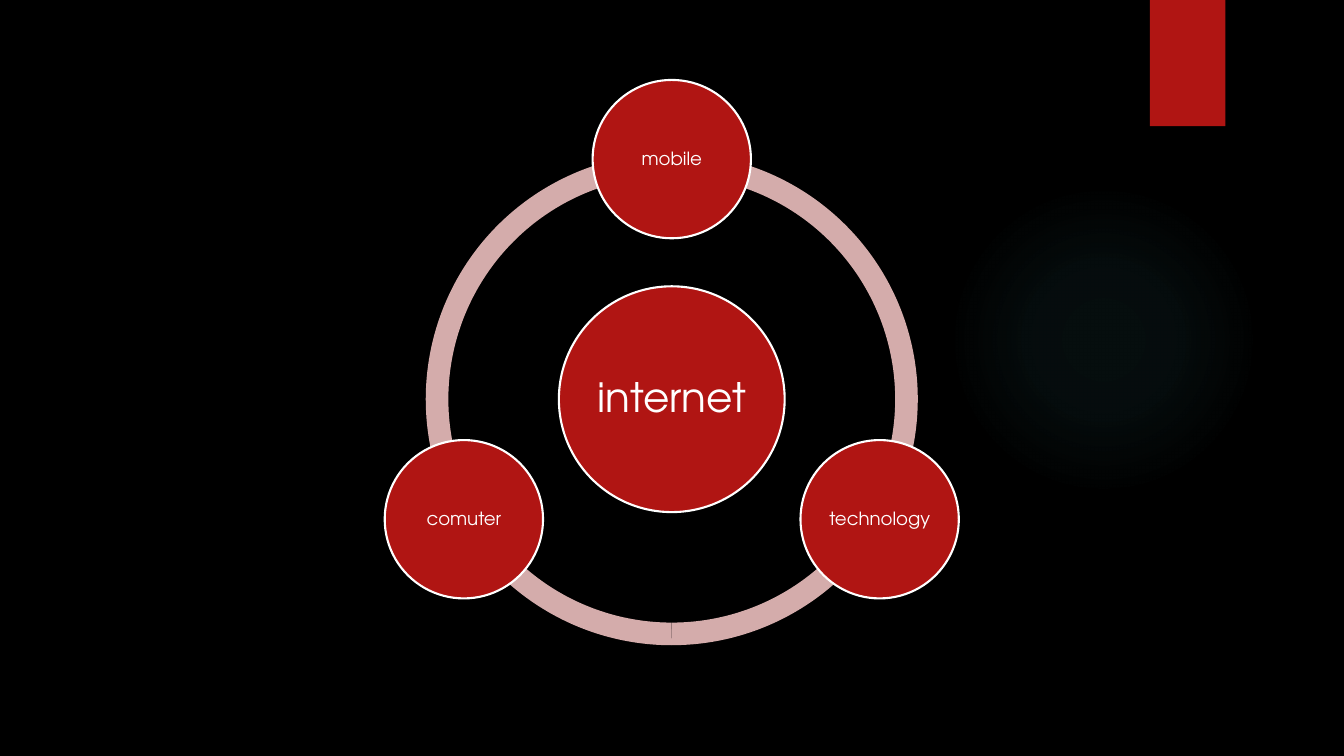
"""Build a slide with a radial diagram: internet at the hub, three topics on a ring."""
from math import cos, radians, sin

from lxml import etree
from pptx import Presentation
from pptx.dml.color import RGBColor
from pptx.enum.shapes import MSO_SHAPE as Shape
from pptx.enum.text import MSO_ANCHOR as Anchor, PP_ALIGN as Align
from pptx.oxml.ns import qn
from pptx.util import Cm, Pt

RED, PINK, WHITE, TEAL = "B01513", "D4ACAB", "FFFFFF", "50B9C1"
CENTER_X, CENTER_Y = 16.93, 10.06
RING_SIZE, HUB_SIZE, NODE_SIZE, ORBIT = 12.4, 5.69, 3.99, 6.05


def add_filled(shapes, kind, x, y, width, height, color):
    """Add a borderless shape centred on x, y."""
    shape = shapes.add_shape(kind, Cm(x - width / 2), Cm(y - height / 2), Cm(width), Cm(height))
    shape.shadow.inherit = False
    shape.fill.solid()
    shape.fill.fore_color.rgb = RGBColor.from_string(color)
    shape.line.fill.background()
    return shape


def add_circle(shapes, label, x, y, size, points, inset):
    """Add a labelled circle with a white outline."""
    circle = add_filled(shapes, Shape.OVAL, x, y, size, size, RED)
    circle.line.color.rgb = RGBColor.from_string(WHITE)
    circle.line.width = Pt(1.5)
    frame = circle.text_frame
    frame.word_wrap = True
    frame.vertical_anchor = Anchor.MIDDLE
    frame.margin_left = frame.margin_right = Cm(inset)
    frame.margin_top = frame.margin_bottom = Cm(inset)
    paragraph = frame.paragraphs[0]
    paragraph.alignment = Align.CENTER
    paragraph.line_spacing = 0.9
    run = paragraph.add_run()
    run.text = label
    run.font.name = "TeX Gyre Adventor"
    run.font.size = Pt(points)
    run.font.color.rgb = RGBColor.from_string(WHITE)


presentation = Presentation()
presentation.slide_width, presentation.slide_height = Cm(33.87), Cm(19.05)
slide = presentation.slides.add_slide(presentation.slide_layouts[6])
slide.background.fill.solid()
slide.background.fill.fore_color.rgb = RGBColor.from_string("000000")

glow = add_filled(slide.shapes, Shape.OVAL, 27.81, 8.56, 7.82, 7.82, TEAL)
glow.fill.gradient()
gradient = glow.fill._fill._gradFill
for child in list(gradient):
    gradient.remove(child)
stops = etree.SubElement(gradient, qn("a:gsLst"))
for position, opacity in [(0, 7), (36, 6), (69, 0)]:
    stop = etree.SubElement(stops, qn("a:gs"), pos=str(position * 1000))
    color = etree.SubElement(stop, qn("a:srgbClr"), val=TEAL)
    etree.SubElement(color, qn("a:alpha"), val=str(opacity * 1000))
radial = etree.SubElement(gradient, qn("a:path"), path="circle")
etree.SubElement(radial, qn("a:fillToRect"), l="50000", t="50000", r="50000", b="50000")

add_filled(slide.shapes, Shape.RECTANGLE, 29.93, 1.59, 1.9, 3.18, RED)

diagram = slide.shapes.add_group_shape().shapes
for start, end in [(90, 162), (18, 90), (162, 18)]:
    arc = add_filled(diagram, Shape.BLOCK_ARC, CENTER_X, CENTER_Y, RING_SIZE, RING_SIZE, PINK)
    arc.adjustments[0] = start * 0.6
    arc.adjustments[1] = end * 0.6
    arc.adjustments[2] = 0.046

add_circle(diagram, "internet", CENTER_X, CENTER_Y, HUB_SIZE, 29, 0.1)
for index, label in enumerate(["mobile", "technology", "comuter"]):
    angle = radians(120 * index - 90)
    x, y = CENTER_X + ORBIT * cos(angle), CENTER_Y + ORBIT * sin(angle)
    add_circle(diagram, label, x, y, NODE_SIZE, 13, 0.05)

presentation.save("out.pptx")
